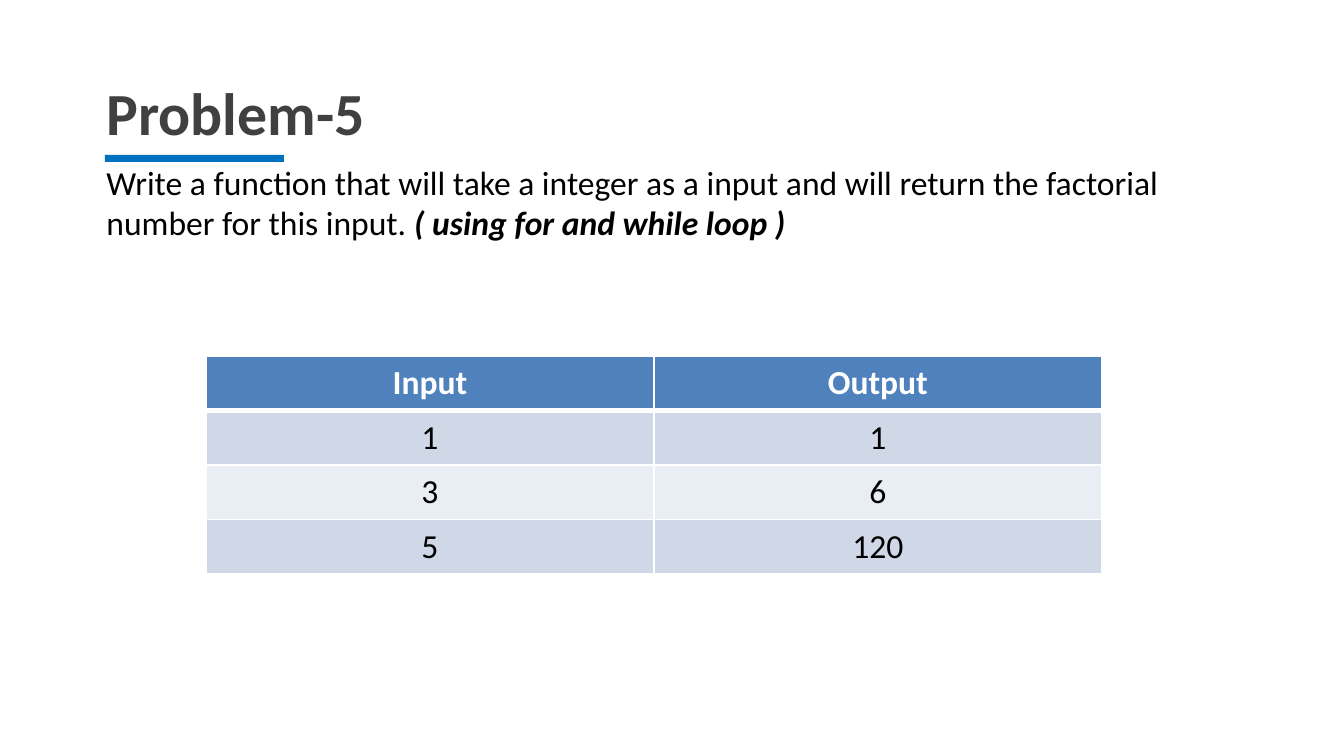
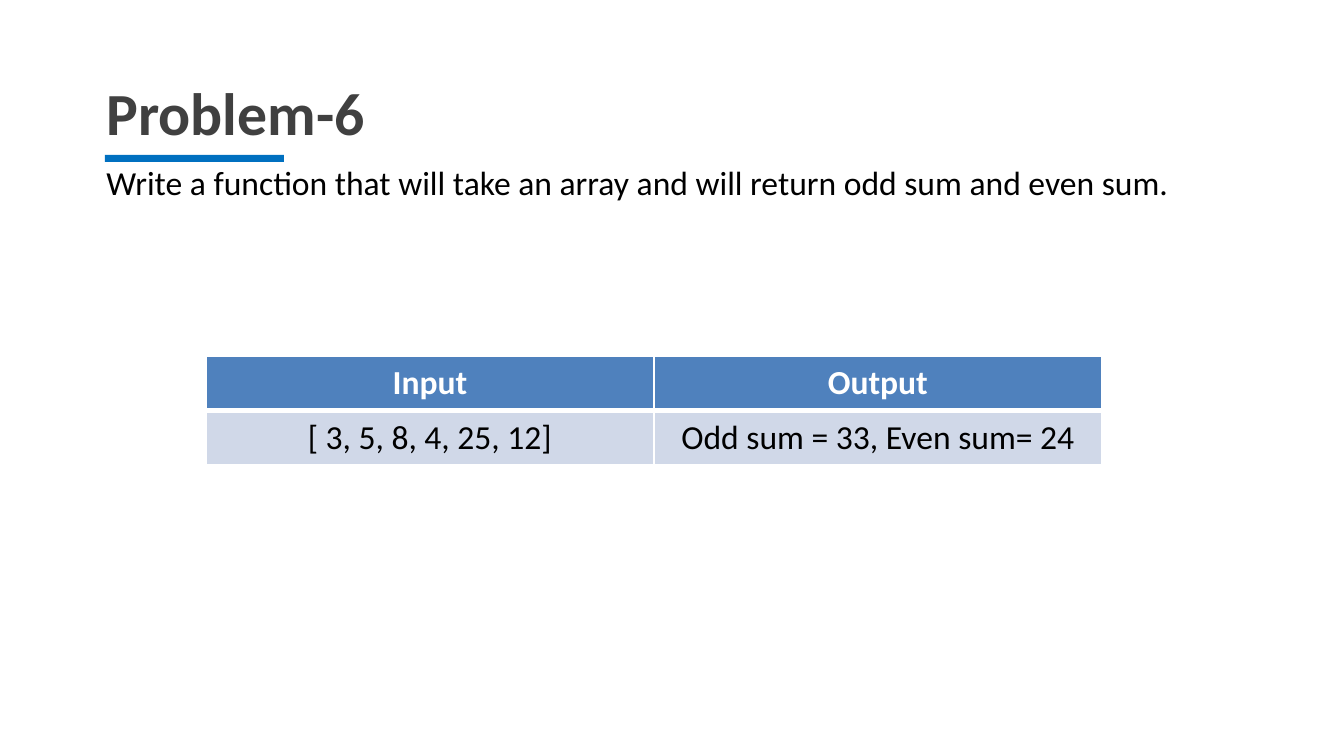
import pptx
import pptx.util
import pptx.dml.color
import pptx.enum.shapes
import pptx.enum.text
import pptx.oxml
import pptx.oxml.ns

PX = 9144000 / 1344  # EMU in one px
INK, TITLE, WHITE, ACCENT = "000000", "404040", "FFFFFF", "0070C0"
HEADER, BANDS = "4F81BD", ("D0D8E8", "E9EDF4")
NS = pptx.oxml.ns.nsdecls("a")

PROBLEMS = [
    ("Problem-5",
     [("Write a function that will take a integer as a input and will return "
       "the factorial number for this input. ", False),
      ("( using for and while loop )", True)],
     95,
     [("Input", "Output"), ("1", "1"), ("3", "6"), ("5", "120")]),
    ("Problem-6",
     [("Write a function that will take an array and will return odd sum and even sum.", False)],
     54,
     [("Input", "Output"), ("[ 3, 5, 8, 4, 25, 12]", "Odd sum = 33, Even sum= 24")]),
]


def rgb(color):
    return pptx.dml.color.RGBColor.from_string(color)


def add_run(p, text, size, color, bold=False, italic=False):
    r = p.add_run()
    r.text = text
    r.font.name = "Calibri"
    r.font.size = pptx.util.Pt(size)
    r.font.color.rgb = rgb(color)
    r.font.bold, r.font.italic = bold, italic


prs = pptx.Presentation()
prs.slide_width, prs.slide_height = round(1344 * PX), round(756 * PX)

for title, task, task_height, rows in PROBLEMS:
    s = prs.slides.add_slide(prs.slide_layouts[1])

    # Title and task text
    boxes = [(s.shapes.title, (93, 69, 1119, 86)),
             (s.placeholders[1], (93, 155, 1138, task_height))]
    for sp, box in boxes:
        sp.left, sp.top, sp.width, sp.height = [round(v * PX) for v in box]
        tf = sp.text_frame
        tf.word_wrap = True
        tf.auto_size = pptx.enum.text.MSO_AUTO_SIZE.NONE
        tf.vertical_anchor = pptx.enum.text.MSO_ANCHOR.TOP
        p = tf.paragraphs[0]
        pPr = p._p.get_or_add_pPr()
        pPr.set("marL", "0")
        pPr.set("indent", "0")
        pPr.append(pptx.oxml.parse_xml(f"<a:buNone {NS}/>"))
        p.alignment = pptx.enum.text.PP_ALIGN.LEFT
        p.space_before = pptx.util.Pt(0)
    add_run(s.shapes.title.text_frame.paragraphs[0], title, 32, TITLE, bold=True)
    for text, stressed in task:
        add_run(p, text, 18, INK, bold=stressed, italic=stressed)

    # Input and output table
    table = s.shapes.add_table(len(rows), 2, *[
        round(v * PX) for v in (206, 356, 896, 54 * len(rows))]).table
    for i, row in enumerate(rows):
        for j, text in enumerate(row):
            cell = table.cell(i, j)
            cell.vertical_anchor = pptx.enum.text.MSO_ANCHOR.TOP
            p = cell.text_frame.paragraphs[0]
            p.alignment = pptx.enum.text.PP_ALIGN.CENTER
            add_run(p, text, 18, INK if i else WHITE, bold=i == 0)
            # White borders, thick under the header
            tcPr = cell._tc.get_or_add_tcPr()
            for side in "LRTB":
                thick = (i, side) in ((0, "B"), (1, "T"))
                tcPr.append(pptx.oxml.parse_xml(
                    f'<a:ln{side} {NS} w="{pptx.util.Pt(3 if thick else 1)}"><a:solidFill>'
                    f'<a:srgbClr val="{WHITE}"/></a:solidFill></a:ln{side}>'))
            cell.fill.solid()
            cell.fill.fore_color.rgb = rgb(BANDS[(i - 1) % 2] if i else HEADER)

    # Accent bar under the title
    bar = s.shapes.add_shape(pptx.enum.shapes.MSO_SHAPE.RECTANGLE,
                             *[round(v * PX) for v in (105, 155, 179, 7)])
    bar.shadow.inherit = False
    bar.fill.solid()
    bar.fill.fore_color.rgb = rgb(ACCENT)
    bar.line.fill.background()

prs.save("out.pptx")
